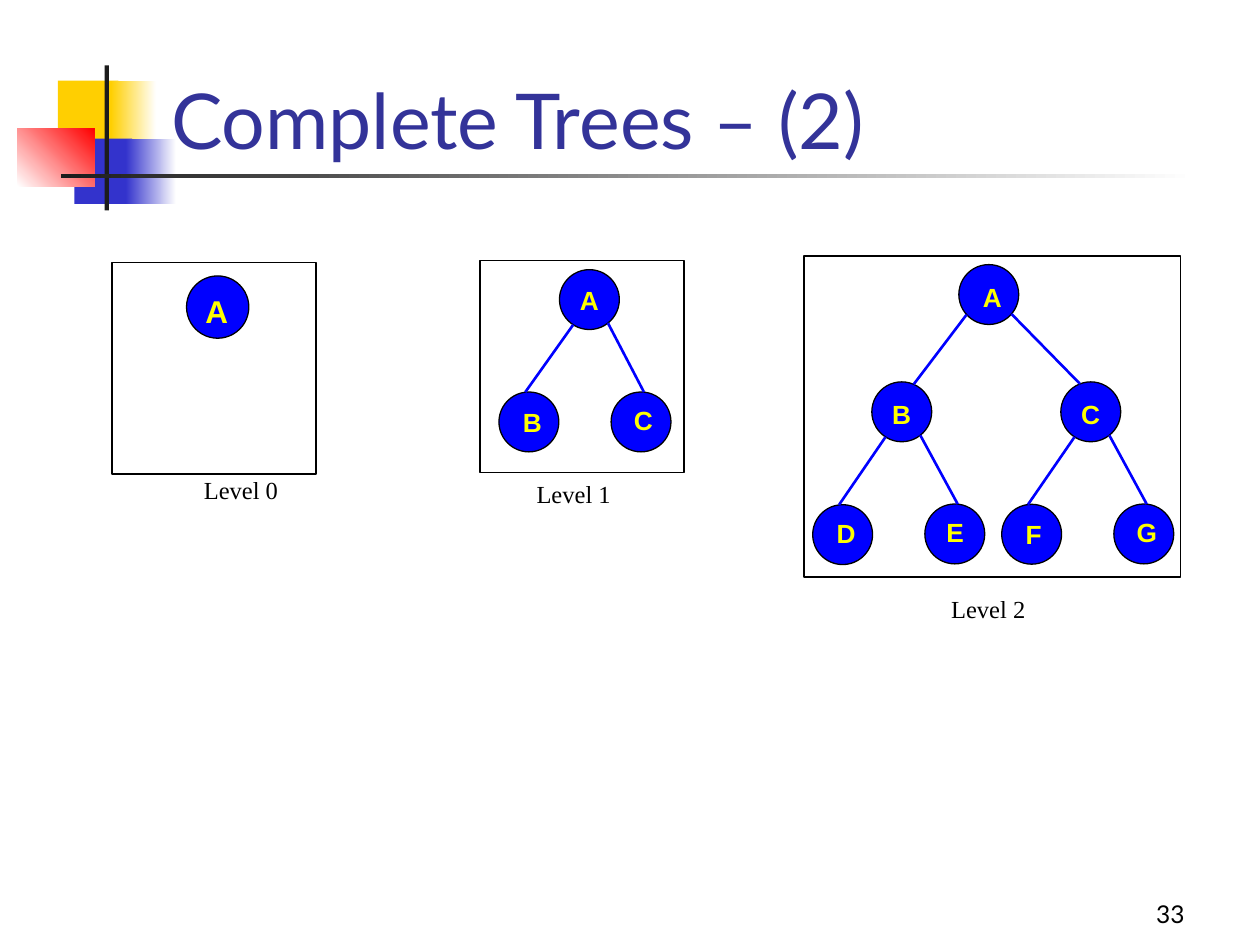
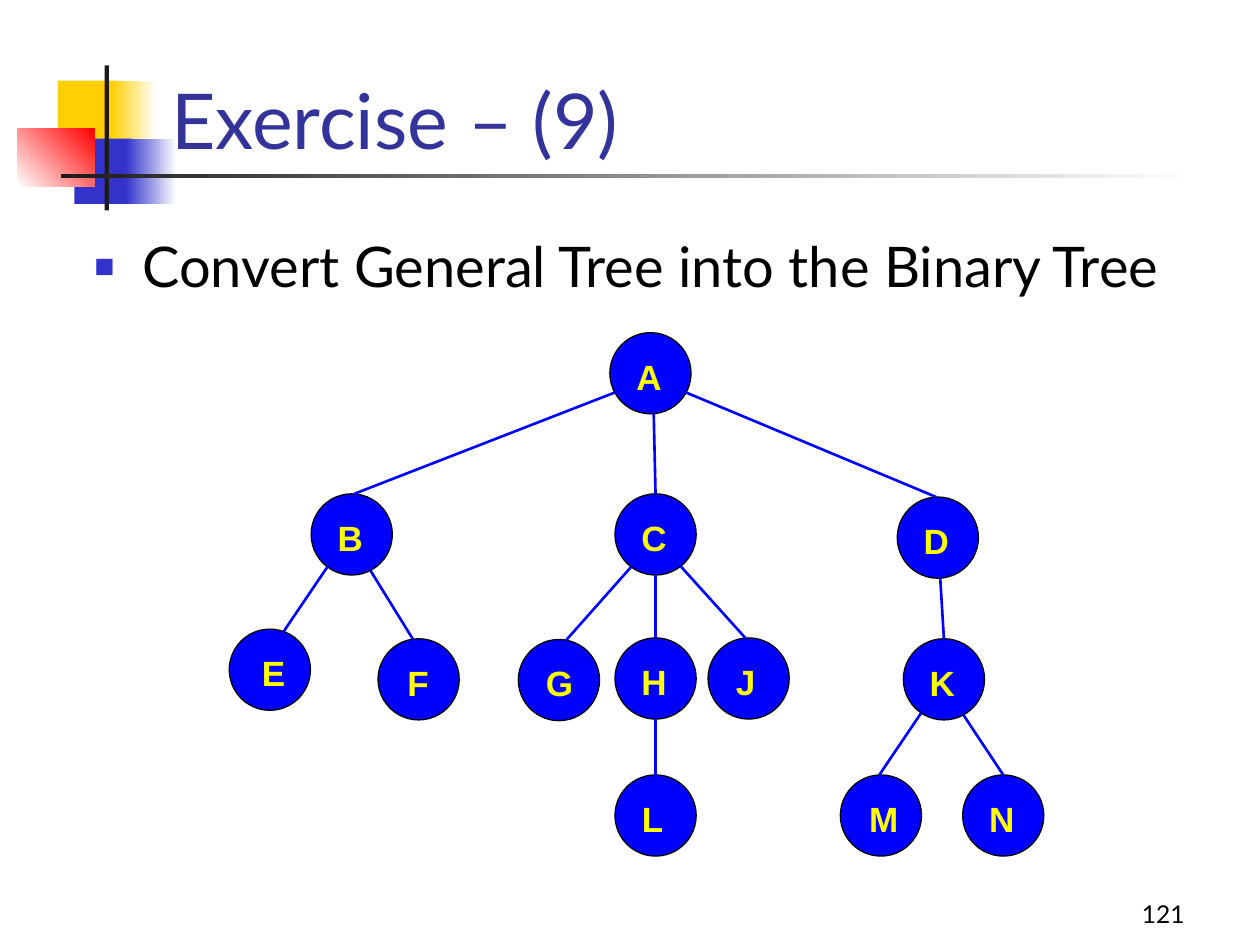
from collections import namedtuple
from dataclasses import dataclass
from math import sqrt

from lxml import etree
from pptx import Presentation
from pptx.dml.color import RGBColor
from pptx.enum import shapes, text
from pptx.oxml import ns
from pptx.util import Pt


@dataclass(frozen=True)
class Theme:
    white: str = "FFFFFF"
    black: str = "000000"
    ink: str = "1C1C1C"
    gold: str = "FFCF01"
    blue: str = "3333CC"
    red: str = "FF0000"
    title: str = "333399"
    node: str = "0000FF"
    label: str = "FFFF00"
    sans: str = "Lato"
    bold: str = "Arial"
    serif: str = "Times New Roman"
    head: int = 44
    body: int = 32
    small: int = 14


T = Theme()
LEFT, MID, RIGHT = text.PP_ALIGN.LEFT, text.PP_ALIGN.CENTER, text.PP_ALIGN.RIGHT

# size: circle diameter; box: label width and height; pad: label insets
Style = namedtuple("Style", "size font box pad")
LARGE = Style(46.4, 20, (37.2, 33.8), (12.2, 6.5))
ROOT = Style(35.6, 18, (32.4, 24.5), (10.8, 5))
SMALL = Style(34.2, 15, (27.4, 25.2), (9.4, 4.3))

# dx, dy: offset of the label from the circle's corner
Node = namedtuple("Node", "x y dx dy align", defaults=(2.9, 6.3, LEFT))

TREES = [
    # frame, caption, caption place, style, nodes, edges
    ((64, 149.8, 116.6, 121), "Level 0", (109.4, 267.8), ROOT,
     {"A": Node(106.6, 157.7, 0, 4.3)}, []),
    ((274.3, 149, 116.6, 121), "Level 1", (299.5, 270), SMALL,
     {"A": Node(319.7, 154.1, 2.2, 4.3),
      "B": Node(285.1, 224, 4.3, 3.6),
      "C": Node(349.2, 224, 3.6, 2.9)},
     [("A", "B", .23, .44), ("A", "C", .81, .55)]),
    ((459.4, 146.2, 215.3, 183.6), "Level 2", (536.4, 336.2), SMALL,
     {"A": Node(547.9, 151.2, 4.3, 5),
      "B": Node(498.2, 218.2, 2.2, 5),
      "C": Node(606.2, 218.2, 2.2, 5),
      "D": Node(464.4, 288.4, 4.3, 2.9),
      "E": Node(528.5, 288, 2.9, 2.9),
      "F": Node(572.4, 288.2, 4.3, 3.6),
      "G": Node(636.5, 288, 3.6, 2.9)},
     [("A", "B", .13, .7), ("A", "C", .88, .32),
      ("B", "D", .23, .44), ("B", "E", .81, .55),
      ("C", "F", .23, .44), ("C", "G", .81, .55)]),
]

GENERAL = {
    "A": Node(348.5, 190.1),
    "B": Node(177.8, 282.2), "C": Node(351.4, 282.2), "D": Node(512.7, 284),
    "E": Node(131, 359.5, 6.5),
    "F": Node(216, 365, 4.3, align=MID),
    "G": Node(296.2, 365.4, 3.6, align=MID),
    "H": Node(351.4, 364.5, align=MID),
    "J": Node(404.6, 364.5, align=MID),
    "K": Node(516.2, 365),
    "L": Node(351.4, 442.8, align=MID),
    "M": Node(480.2, 442.8, 4.3),
    "N": Node(550.1, 442.8, align=RIGHT),
}
LINKS = [
    ("A", "B", .06, .53), ("A", "C", .54, .5), ("A", "D", .94, .48),
    ("B", "E", .2, .67), ("B", "F", .73, .43),
    ("C", "G", .2, .59), ("C", "H", .5, .5), ("C", "J", .81, .46),
    ("D", "K", .53, .5), ("H", "L", .5, .5),
    ("K", "M", .22, .48), ("K", "N", .74, .5),
]


def rgb(code):
    return RGBColor.from_string(code)


def shape(slide, kind, at, fill, line=None):
    item = slide.shapes.add_shape(kind, *map(Pt, at))
    item.shadow.inherit = False
    item.fill.solid()
    item.fill.fore_color.rgb = rgb(fill)
    if line:
        item.line.color.rgb = rgb(line)
        item.line.width = Pt(0.75)
    else:
        item.line.fill.background()
    return item


def rect(slide, at, fill, line=None):
    return shape(slide, shapes.MSO_SHAPE.RECTANGLE, at, fill, line)


def fade(slide, at, start, end, angle=0):
    """Rectangle that blends from one colour to another."""
    fill = rect(slide, at, start).fill
    fill.gradient()
    fill.gradient_angle = angle
    for stop, code in zip(fill.gradient_stops, (start, end)):
        stop.color.rgb = rgb(code)


def write(slide, at, words, size, color, font=T.sans, bold=False, align=LEFT,
          anchor=text.MSO_ANCHOR.TOP, pad=(7.2, 3.6), wrap=True):
    """Add a one-paragraph text box and return the paragraph."""
    frame = slide.shapes.add_textbox(*map(Pt, at)).text_frame
    frame.word_wrap = wrap
    frame.vertical_anchor = anchor
    frame.margin_left = frame.margin_right = Pt(pad[0])
    frame.margin_top = frame.margin_bottom = Pt(pad[1])
    frame.text = words
    para = frame.paragraphs[0]
    para.alignment = align
    face = para.runs[0].font
    face.name, face.size, face.bold = font, Pt(size), bold
    face.color.rgb = rgb(color)
    return para


def bullet(para, indent=27.4):
    props = para._p.get_or_add_pPr()
    props.set("marL", str(Pt(indent)))
    props.set("indent", str(-Pt(indent)))
    color = etree.SubElement(props, ns.qn("a:buClr"))
    etree.SubElement(color, ns.qn("a:srgbClr"), val=T.blue)
    etree.SubElement(props, ns.qn("a:buSzPct"), val="60000")
    etree.SubElement(props, ns.qn("a:buFont"), typeface=T.bold)
    etree.SubElement(props, ns.qn("a:buChar"), char="■")


def rim(node, size, part, side):
    """Point on a circle's rim at a share of its width; side 1 is below."""
    rise = side * sqrt(0.25 - (part - 0.5) ** 2)
    return Pt(node.x + size * part), Pt(node.y + size * (0.5 + rise))


def edge(slide, start, end):
    line = slide.shapes.add_connector(
        shapes.MSO_CONNECTOR.STRAIGHT, *start, *end)
    line.line.color.rgb = rgb(T.node)
    line.line.width = Pt(1.5)
    etree.SubElement(line._element.spPr, ns.qn("a:effectLst"))


def tree(slide, style, nodes, edges):
    size = style.size
    for node in nodes.values():
        shape(slide, shapes.MSO_SHAPE.FLOWCHART_CONNECTOR,
              (node.x, node.y, size, size), T.node, T.black)
    for top, low, leave, land in edges:
        edge(slide, rim(nodes[top], size, leave, 1),
             rim(nodes[low], size, land, -1))
    for name, node in nodes.items():
        write(slide, (node.x + node.dx, node.y + node.dy, *style.box), name,
              style.font, T.label, T.bold, True, node.align, pad=style.pad)


def page(deck, title, number):
    """Add a slide with the shared ornament, title and page number."""
    slide = deck.slides.add_slide(deck.slide_layouts[6])
    rect(slide, (33.1, 46, 34.6, 37.4), T.gold)
    fade(slide, (63.4, 46, 25.9, 37.4), T.gold, T.white)
    rect(slide, (42.5, 79.2, 33.1, 37.4), T.blue)
    fade(slide, (72, 79.2, 28.8, 37.4), T.blue, T.white)
    fade(slide, (10, 73.4, 44, 33.2), T.white, T.red, 45)
    rect(slide, (59.8, 37.4, 2.5, 82.8), T.ink)
    fade(slide, (34.8, 99.4, 648, 2.5), T.ink, T.white)
    low = text.MSO_ANCHOR.BOTTOM
    write(slide, (534.2, 498.2, 149.8, 36), number, T.small, T.black,
          align=RIGHT, anchor=low)
    write(slide, (90.7, 7.9, 613.4, 90), title, T.head, T.title, anchor=low)
    return slide


def main():
    deck = Presentation()
    deck.slide_width, deck.slide_height = Pt(720), Pt(540)

    slide = page(deck, "Complete Trees – (2)", "33")
    for frame, caption, place, style, nodes, edges in TREES:
        rect(slide, frame, T.white, T.black)
        tree(slide, style, nodes, edges)
        write(slide, (*place, 56.9, 24.5), caption, T.small, T.black,
              T.serif, wrap=False)

    slide = page(deck, "Exercise – (9)", "121")
    bullet(write(slide, (46.8, 128.9, 658, 353.5),
                 "Convert General Tree into the Binary Tree", T.body, T.black))
    tree(slide, LARGE, GENERAL, LINKS)

    deck.save("out.pptx")


if __name__ == "__main__":
    main()
